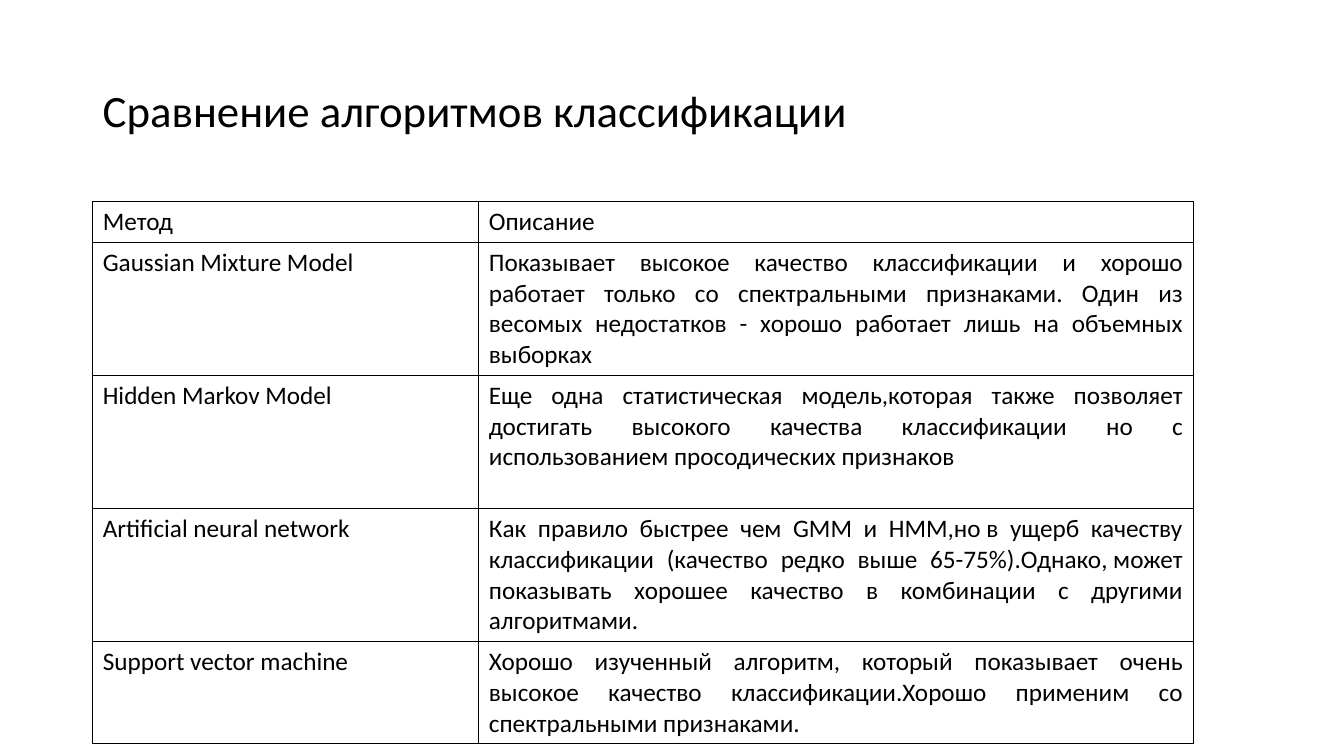
from lxml import etree
from pptx import Presentation
from pptx import util as u
from pptx.dml.color import RGBColor
from pptx.enum import text
from pptx.oxml.ns import qn

FONT, BLACK, WHITE = "Calibri", "000000", "FFFFFF"
ROWS = [
    ("Метод", "Описание"),
    ("Gaussian Mixture Model",
     "Показывает высокое качество классификации и хорошо работает только со "
     "спектральными признаками. Один из весомых недостатков - хорошо работает "
     "лишь на объемных выборках"),
    ("Hidden Markov Model",
     "Еще одна статистическая модель,которая также позволяет достигать высокого "
     "качества классификации но с использованием\u00a0просодических признаков"),
    ("Artificial neural network",
     "Как правило быстрее чем GMM и HMM,но\u00a0в ущерб качеству классификации "
     "(качество редко выше 65-75%).Однако,\u00a0может показывать хорошее качество "
     "в комбинации с другими алгоритмами."),
    ("Support vector machine",
     "Хорошо изученный алгоритм, который показывает очень высокое качество "
     "классификации.Хорошо применим со спектральными признаками."),
]
LINES = [1, 4, 4, 4, 3]  # text lines each row has room for


def rgb(value):
    return RGBColor.from_string(value)


def write(tf, words, size):
    p = tf.paragraphs[0]
    p.text = words
    p.font.name, p.font.size = FONT, u.Pt(size)
    p.font.color.rgb = rgb(BLACK)
    return p


prs = Presentation()
prs.slide_width, prs.slide_height = u.Inches(13.33), u.Inches(7.5)
W = prs.slide_width
s = prs.slides.add_slide(prs.slide_layouts[6])
left = int(W * 0.069)

# Title
sp = s.shapes.add_textbox(left, u.Inches(0.4), int(W * 0.8625), u.Inches(1.45))
tf = sp.text_frame
tf.word_wrap = True
tf.vertical_anchor = text.MSO_ANCHOR.MIDDLE
write(tf, "Сравнение алгоритмов классификации", 32).line_spacing = 0.9

# Comparison table
widths = [int(W * share) for share in (0.2873, 0.5315)]
heights = [u.Inches(0.1 + 0.305 * n) for n in LINES]
table = s.shapes.add_table(len(ROWS), 2, left, u.Inches(2),
                           sum(widths), sum(heights)).table
table.first_row = table.horz_banding = False
for column, width in zip(table.columns, widths):
    column.width = width

for i, row in enumerate(ROWS):
    table.rows[i].height = heights[i]
    for j, words in enumerate(row):
        cell = table.cell(i, j)
        p = write(cell.text_frame, words, 18)
        if i and j:
            p.alignment = text.PP_ALIGN.JUSTIFY
        cell.fill.solid()
        cell.fill.fore_color.rgb = rgb(WHITE)

        # Cell borders, which come before the fill
        tcPr = cell._tc.get_or_add_tcPr()
        for k, side in enumerate(("lnL", "lnR", "lnT", "lnB")):
            ln = etree.SubElement(tcPr, qn("a:" + side), w=str(u.Pt(1)))
            fill = etree.SubElement(ln, qn("a:solidFill"))
            etree.SubElement(fill, qn("a:srgbClr"), val=BLACK)
            tcPr.insert(k, ln)

prs.save("out.pptx")
